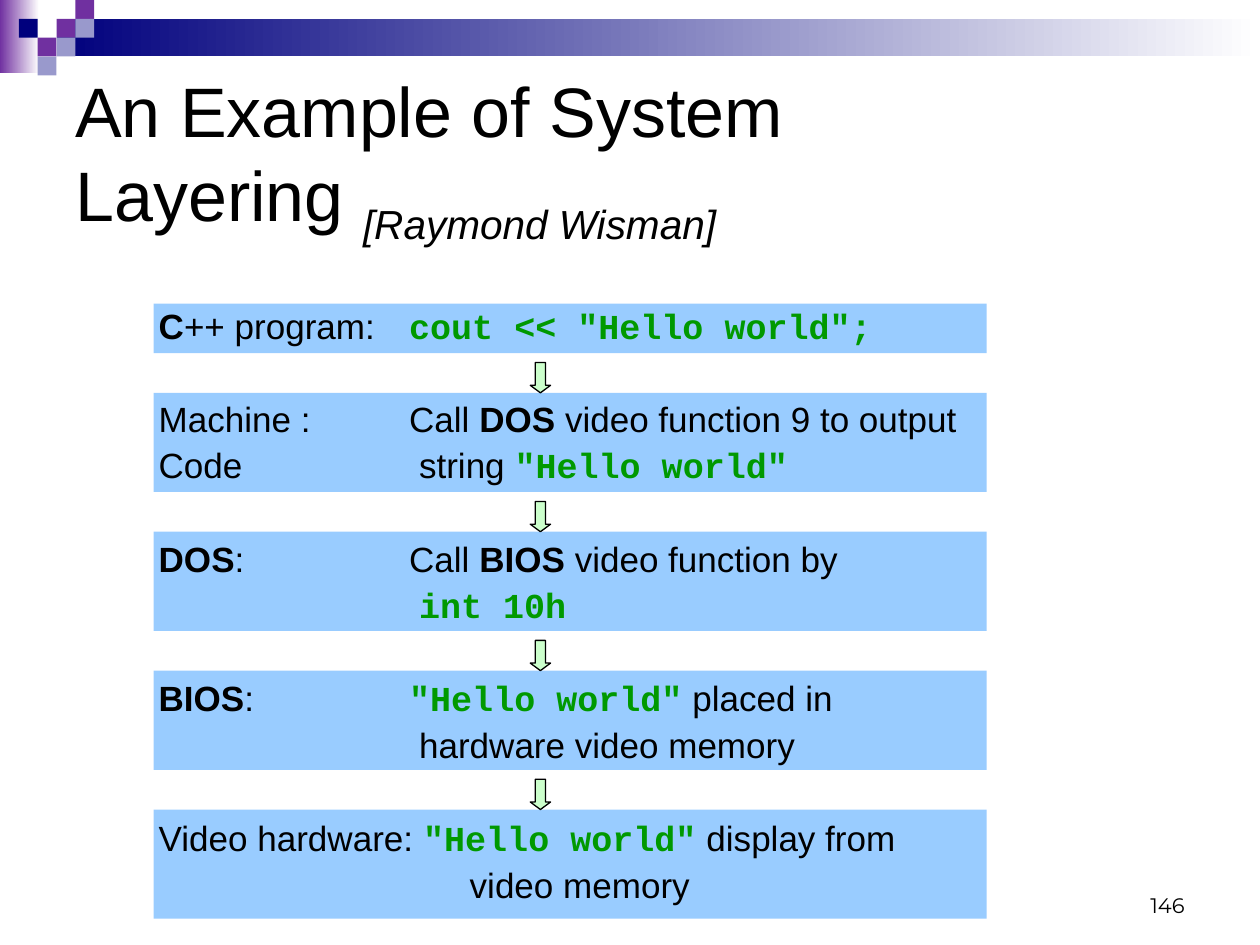
from dataclasses import dataclass

from lxml import etree
from pptx import Presentation
from pptx.dml.color import RGBColor
from pptx.enum.shapes import MSO_SHAPE
from pptx.enum.text import MSO_ANCHOR, PP_ALIGN
from pptx.oxml.ns import qn
from pptx.util import Cm, Pt

RECTANGLE, DOWN_ARROW = MSO_SHAPE.RECTANGLE, MSO_SHAPE.DOWN_ARROW
TOP, MIDDLE, BOTTOM = MSO_ANCHOR.TOP, MSO_ANCHOR.MIDDLE, MSO_ANCHOR.BOTTOM
RIGHT = PP_ALIGN.RIGHT


@dataclass(frozen=True)
class Theme:
    text: str = "000000"
    code: str = "009900"
    band: str = "99CCFF"
    arrow: str = "CCFFCC"
    purple: str = "7030A0"
    navy: str = "00007D"
    lilac: str = "9999CC"
    white: str = "FFFFFF"
    sans: str = "Arial"
    mono: str = "Courier New"
    number_font: str = "Montserrat"
    title_size: int = 40
    body_size: int = 20
    number_size: int = 12


THEME = Theme()

TITLE = ("An Example of System", "Layering ")
AUTHOR = "[Raymond Wisman]"
PAGE_NUMBER = "146"

# Each layer: band height in cm, then its lines as (style, text) spans.
LAYERS = [
    (1, [[("bold", "C"), ("plain", "++ program:\t"),
          ("code", 'cout << "Hello world";')]]),
    (2, [[("plain", "Machine :\tCall "), ("bold", "DOS"),
          ("plain", " video function 9 to output")],
         [("plain", "Code\tstring "), ("code", '"Hello world"')]]),
    (2, [[("bold", "DOS"), ("plain", ":\tCall "), ("bold", "BIOS"),
          ("plain", " video function by")],
         [("plain", "\t"), ("code", "int 10h")]]),
    (2, [[("bold", "BIOS"), ("plain", ":\t"), ("code", '"Hello world"'),
          ("plain", " placed in")],
         [("plain", "\thardware video memory")]]),
    (2.2, [[("plain", "Video hardware: "), ("code", '"Hello world"'),
            ("plain", " display from")],
           [("plain", "\tvideo memory")]]),
]
FIRST_LINE_TAB, NEXT_LINE_TAB, LAST_LINE_TAB = 5.05, 5.25, 6.27

# Mosaic squares as (column, row, colour)
TILE = 0.38
MOSAIC = [
    (3, 1, THEME.purple), (4, 0, THEME.purple), (4, 1, THEME.lilac),
    (2, 2, THEME.purple), (1, 1, THEME.navy), (3, 2, THEME.lilac),
    (2, 3, THEME.lilac),
]

BAND_LEFT, BAND_TOP, BAND_WIDTH, BAND_GAP = 3.1, 6.12, 16.79, 0.8
ARROW_LEFT, ARROW_WIDTH, ARROW_HEIGHT = 10.69, 0.41, 0.61
LINE_GAP, LAYER_GAP = 5, 31.7


def color(code):
    return RGBColor.from_string(code)


def add_block(page, preset, left, top, width, height, fill):
    block = page.shapes.add_shape(preset, Cm(left), Cm(top), Cm(width), Cm(height))
    block.shadow.inherit = False
    block.fill.solid()
    block.fill.fore_color.rgb = color(fill)
    block.line.fill.background()
    return block


def add_fade(page, left, top, width, height, start):
    """Add a rectangle that fades from a colour to white, left to right."""
    block = add_block(page, RECTANGLE, left, top, width, height, start)
    block.fill.gradient()
    block.fill.gradient_angle = 0
    for stop, code in zip(block.fill.gradient_stops, (start, THEME.white)):
        stop.color.rgb = color(code)


def add_text_box(page, left, top, width, height, anchor):
    box = page.shapes.add_textbox(Cm(left), Cm(top), Cm(width), Cm(height))
    box.text_frame.word_wrap = True
    box.text_frame.vertical_anchor = anchor
    return box.text_frame


def add_span(para, text, size, font=THEME.sans, ink=THEME.text, bold=False):
    span = para.add_run()
    span.text = text
    span.font.name = font
    span.font.size = Pt(size)
    span.font.bold = bold
    span.font.color.rgb = color(ink)
    return span


def add_header(page):
    add_fade(page, 0, 0, 0.79, 1.47, THEME.purple)
    add_fade(page, 3 * TILE, TILE, 25.4 - 3 * TILE, 2 * TILE, THEME.navy)
    for column, row, fill in MOSAIC:
        add_block(page, RECTANGLE, column * TILE, row * TILE, TILE, TILE, fill)


def add_title(page):
    para = add_text_box(page, 1.27, 1.27, 22.86, 3.81, MIDDLE).paragraphs[0]
    add_span(para, TITLE[0], THEME.title_size)
    para.add_line_break()
    add_span(para, TITLE[1], THEME.title_size)
    author = add_span(para, AUTHOR, THEME.title_size)
    author.font.italic = True
    author.font._element.set("baseline", "-25000")


def add_page_number(page):
    para = add_text_box(page, 18.21, 17.35, 5.92, 1.27, BOTTOM).paragraphs[0]
    para.alignment = RIGHT
    add_span(para, PAGE_NUMBER, THEME.number_size, THEME.number_font)


def add_bands(page):
    top = BAND_TOP
    for index, (height, _) in enumerate(LAYERS):
        add_block(page, RECTANGLE, BAND_LEFT, top, BAND_WIDTH, height, THEME.band)
        if index:
            arrow = add_block(page, DOWN_ARROW, ARROW_LEFT, top - ARROW_HEIGHT,
                              ARROW_WIDTH, ARROW_HEIGHT, THEME.arrow)
            arrow.adjustments[1] = 0.37
            arrow.line.color.rgb = color(THEME.text)
            arrow.line.width = Pt(0.75)
        top += height + BAND_GAP


def set_tab(para, position):
    tabs = etree.SubElement(para._p.get_or_add_pPr(), qn("a:tabLst"))
    etree.SubElement(tabs, qn("a:tab"), pos=str(Cm(position)), algn="l")


def add_layer_text(page):
    styles = {
        "plain": {},
        "bold": {"bold": True},
        "code": {"font": THEME.mono, "ink": THEME.code, "bold": True},
    }
    frame = add_text_box(page, 2.95, 6.1, 18.16, 12.62, TOP)
    for index, (_, lines) in enumerate(LAYERS):
        next_tab = LAST_LINE_TAB if index == len(LAYERS) - 1 else NEXT_LINE_TAB
        for number, spans in enumerate(lines):
            is_first = index == number == 0
            para = frame.paragraphs[0] if is_first else frame.add_paragraph()
            para.line_spacing = 0.9
            para.space_before = Pt(LINE_GAP if number or is_first else LAYER_GAP)
            set_tab(para, next_tab if number else FIRST_LINE_TAB)
            for style, text in spans:
                add_span(para, text, THEME.body_size, **styles[style])


def main():
    deck = Presentation()
    deck.slide_width, deck.slide_height = Cm(25.4), Cm(19.05)
    page = deck.slides.add_slide(deck.slide_layouts[6])
    add_header(page)
    add_page_number(page)
    add_bands(page)
    add_title(page)
    add_layer_text(page)
    deck.save("out.pptx")


if __name__ == "__main__":
    main()
